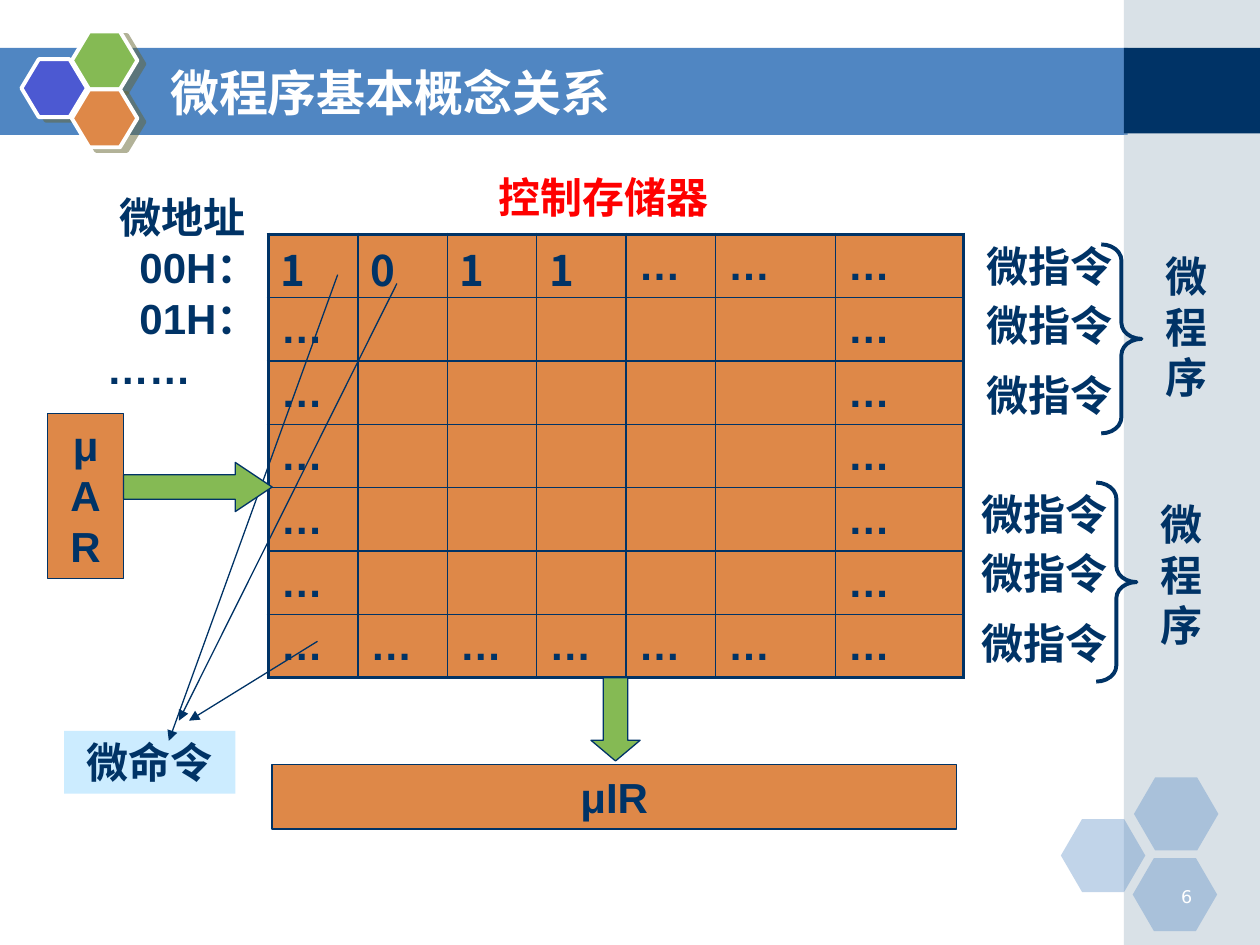
import collections

import lxml.etree
import pptx
import pptx.chart.data
import pptx.dml.color
import pptx.enum.shapes
import pptx.enum.text
import pptx.oxml.ns
import pptx.util

Inches = pptx.util.Inches
Pt = pptx.util.Pt
Kind = pptx.enum.shapes.MSO_SHAPE
Align = pptx.enum.text.PP_ALIGN
Anchor = pptx.enum.text.MSO_ANCHOR
Box = collections.namedtuple("Box", "left top width height")

COLORS = {"navy": "003366", "blue": "5086C2", "haze": "A0B5C4", "violet": "4C59D2",
          "green": "85BA54", "orange": "DE8848", "pale": "CCECFF", "red": "FF0000",
          "white": "FFFFFF", "shade": "666633"}
HAN = "Noto Sans CJK SC"
BODY = {"name": "Arial", "size": Pt(24), "bold": True}


def rgb(name):
    """Return the named colour."""
    return pptx.dml.color.RGBColor.from_string(COLORS[name])


def within(box, left, top, width, height):
    """Return the lengths of a part offset from the corner of a box."""
    return [Inches(value) for value in (box.left + left, box.top + top, width, height)]


def node(parent, tag, **values):
    """Append a drawing element and return it."""
    return lxml.etree.SubElement(parent, pptx.oxml.ns.qn(tag), values)


def write(frame, lines, color="navy", align=Align.CENTER, anchor=Anchor.TOP, wrap=True, font=BODY):
    """Fill a text frame, one paragraph for each line."""
    frame.word_wrap = wrap
    frame.vertical_anchor = anchor
    for index, line in enumerate(lines):
        para = frame.paragraphs[0] if index == 0 else frame.add_paragraph()
        text, para.alignment = line if isinstance(line, tuple) else (line, align)
        span = para.add_run()
        span.text = text
        for name, value in font.items():
            setattr(span.font, name, value)
        span.font.color.rgb = rgb(color)
        if font["name"] == HAN:
            node(span.font._element, "a:ea", typeface=HAN)


def add_label(page, place, lines, **style):
    """Add a text box."""
    write(page.shapes.add_textbox(*place).text_frame, lines, **style)


def add_figure(page, kind, place, fill=None, line=None, weight=0.75, alpha=None, adjust=()):
    """Add a preset shape with flat formatting."""
    shape = page.shapes.add_shape(kind, *place)
    shape.shadow.inherit = False
    for index, value in enumerate(adjust):
        shape.adjustments[index] = value
    if fill:
        shape.fill.solid()
        shape.fill.fore_color.rgb = rgb(fill)
        if alpha:
            color = next(shape.element.spPr.iter(pptx.oxml.ns.qn("a:srgbClr")))
            node(color, "a:alpha", val=str(alpha * 1000))
    else:
        shape.fill.background()
    if line:
        shape.line.color.rgb = rgb(line)
        shape.line.width = Pt(weight)
    else:
        shape.line.fill.background()
    return shape


def add_backdrop(page, box):
    """Draw the header band, the side strip and the pale hexagons."""
    add_figure(page, Kind.RECTANGLE, within(box, 0, 0.38, 8.95, 0.69), "blue")
    add_figure(page, Kind.RECTANGLE, within(box, 8.92, 0, 1.08, box.height), "haze", alpha=40)
    add_figure(page, Kind.RECTANGLE, within(box, 8.92, 0.38, 1.08, 0.68), "navy")
    for left, top in ((8.42, 6.5), (9, 6.17), (8.99, 6.81)):
        add_figure(page, Kind.HEXAGON, within(box, left, top, 0.67, 0.58), "blue",
                   alpha=35, adjust=[0.29])
    add_label(page, within(box, 9.06, 6.98, 0.5, 0.25), ["6"], color="white",
              align=Align.RIGHT, font={"name": "DejaVu Sans", "size": Pt(10)})


def add_emblem(page, box):
    """Draw the three shadowed hexagons beside the title."""
    for left, top, fill in ((0, 0.22, "violet"), (0.4, 0, "green"), (0.4, 0.46, "orange")):
        shape = add_figure(page, Kind.HEXAGON, within(box, left, top, 0.52, 0.46), fill,
                           "white", 2.25, adjust=[0.3])
        effects = shape.element.spPr.find(pptx.oxml.ns.qn("a:effectLst"))
        shadow = node(effects, "a:outerShdw", dist=str(Pt(4.5)), dir=str(27 * 60000),
                      algn="ctr", rotWithShape="0")
        node(node(shadow, "a:srgbClr", val=COLORS["shade"]), "a:alpha", val="50000")


def add_heading(page, box):
    """Place the title over the header band."""
    title = page.shapes.title
    title.left, title.top, title.width, title.height = within(box, 0, 0, box.width, box.height)
    write(title.text_frame, ["微程序基本概念关系"], color="white", align=Align.LEFT,
          anchor=Anchor.MIDDLE, font={"name": HAN, "size": Pt(28), "bold": True})
    title.element.getparent().append(title.element)


def style_cell(cell, text, edges):
    """Border, fill and write one cell of the control store."""
    properties = cell._tc.get_or_add_tcPr()
    for side in "LRTB":
        width = Pt(2.25 if side in edges else 1)
        border = node(properties, "a:ln" + side, w=str(width))
        node(node(border, "a:solidFill"), "a:srgbClr", val=COLORS["navy"])
    cell.fill.solid()
    cell.fill.fore_color.rgb = rgb("orange")
    cell.vertical_anchor = Anchor.MIDDLE
    if text:
        digit = text.isdigit()
        write(cell.text_frame, [text], align=Align.LEFT, anchor=None,
              font={**BODY, "name": HAN if digit else "Arial"})
        if digit:
            cell.margin_top, cell.margin_bottom = Inches(0.06), 0
            cell.text_frame.paragraphs[0].line_spacing = 0.9


def add_store(page, box):
    """Build the control store table with its caption."""
    add_label(page, within(box, 1.73, -0.55, 1.87, 0.5), ["控制存储器"], color="red",
              align=Align.LEFT, wrap=False)
    middle = ["…", "", "", "", "", "", "…"]
    rows = [["1", "0", "1", "1", "…", "…", "…"]] + [middle] * 5 + [["…"] * 7]
    last = len(rows) - 1
    frame = page.shapes.add_table(len(rows), 7, *within(box, 0, 0, box.width, box.height))
    table = frame.table
    table.first_row = table.horz_banding = False
    for column, width in zip(table.columns, [0.71] * 5 + [0.95, 1.02]):
        column.width = Inches(width)
    for i, texts in enumerate(rows):
        table.rows[i].height = Inches(box.height / len(rows))
        for j, text in enumerate(texts):
            edges = {"L": j == 0, "R": j == 6, "T": i == 0, "B": i == last}
            style_cell(table.cell(i, j), text, [side for side in edges if edges[side]])


def add_program(page, box):
    """Draw three microinstructions braced into one microprogram."""
    for top in (0, 0.47, 1.02):
        add_label(page, within(box, 0, top, 1.38, 0.5), ["微指令"])
    brace_top = 0.08 if box.height < 1.55 else 0
    add_figure(page, Kind.RIGHT_BRACE, within(box, 1.1, brace_top, 0.32, box.height),
               line="navy", weight=2.25, adjust=[0.4, 0.5])
    add_label(page, within(box, 1.48, 0.08, 0.6, 1.3), ["微程序"])


def add_addressing(page, box):
    """Draw the micro-address list, its register and the arrow to the store."""
    add_label(page, within(box, 0.37, 0, 1.4, 3.3),
              ["微地址", ("00H：", Align.RIGHT), ("01H：", Align.RIGHT), ("……", Align.LEFT)])
    register = add_figure(page, Kind.RECTANGLE, within(box, 0, 1.81, 0.6, 1.31), "orange", "navy")
    write(register.text_frame, ["μAR"])
    add_figure(page, Kind.RIGHT_ARROW, within(box, 0.6, 2.2, 1.18, 0.39), "green", "navy",
               adjust=[0.5, 0.75])


def add_commands(page, box):
    """Draw the microcommand label and the arrows that lead to it."""
    label = add_figure(page, Kind.RECTANGLE, within(box, 0, 0, box.width, box.height), "pale")
    write(label.text_frame, ["微命令"])
    for start, end in (((2.17, -3.62), (0.83, 0.08)), ((2.01, -0.71), (0.99, -0.08)),
                       ((2.64, -3.55), (0.91, -0.08))):
        places = within(box, *start, 0, 0)[:2] + within(box, *end, 0, 0)[:2]
        arrow = page.shapes.add_connector(pptx.enum.shapes.MSO_CONNECTOR.STRAIGHT, *places)
        arrow.line.color.rgb = rgb("navy")
        arrow.line.width = Pt(0.75)
        node(arrow.line._get_or_add_ln(), "a:tailEnd", type="triangle")
        node(arrow.element.spPr, "a:effectLst")


def add_instruction_register(page, box):
    """Draw the instruction register and the arrow that feeds it."""
    register = add_figure(page, Kind.RECTANGLE, within(box, 0, 0.69, box.width, 0.51),
                          "orange", "navy")
    write(register.text_frame, ["μIR"])
    add_figure(page, Kind.DOWN_ARROW, within(box, 2.53, 0, 0.39, 0.66), "green", "navy",
               adjust=[0.5, 0.42])


def main():
    """Build and save the deck."""
    deck = pptx.Presentation()
    deck.slide_width, deck.slide_height = Inches(10), Inches(7.5)
    page = deck.slides.add_slide(deck.slide_layouts[5])
    add_backdrop(page, Box(0, 0, 10, 7.5))
    add_emblem(page, Box(0.17, 0.25, 0.92, 0.92))
    add_heading(page, Box(1.25, 0.42, 7.33, 0.62))
    add_store(page, Box(2.13, 1.86, 5.53, 3.52))
    add_program(page, Box(7.64, 1.86, 2.08, 1.5))
    add_commands(page, Box(0.51, 5.8, 1.36, 0.5))
    add_program(page, Box(7.6, 3.83, 2.08, 1.58))
    add_addressing(page, Box(0.38, 1.47, 1.78, 3.3))
    add_instruction_register(page, Box(2.16, 5.38, 5.43, 1.2))
    deck.save("out.pptx")


if __name__ == "__main__":
    main()
